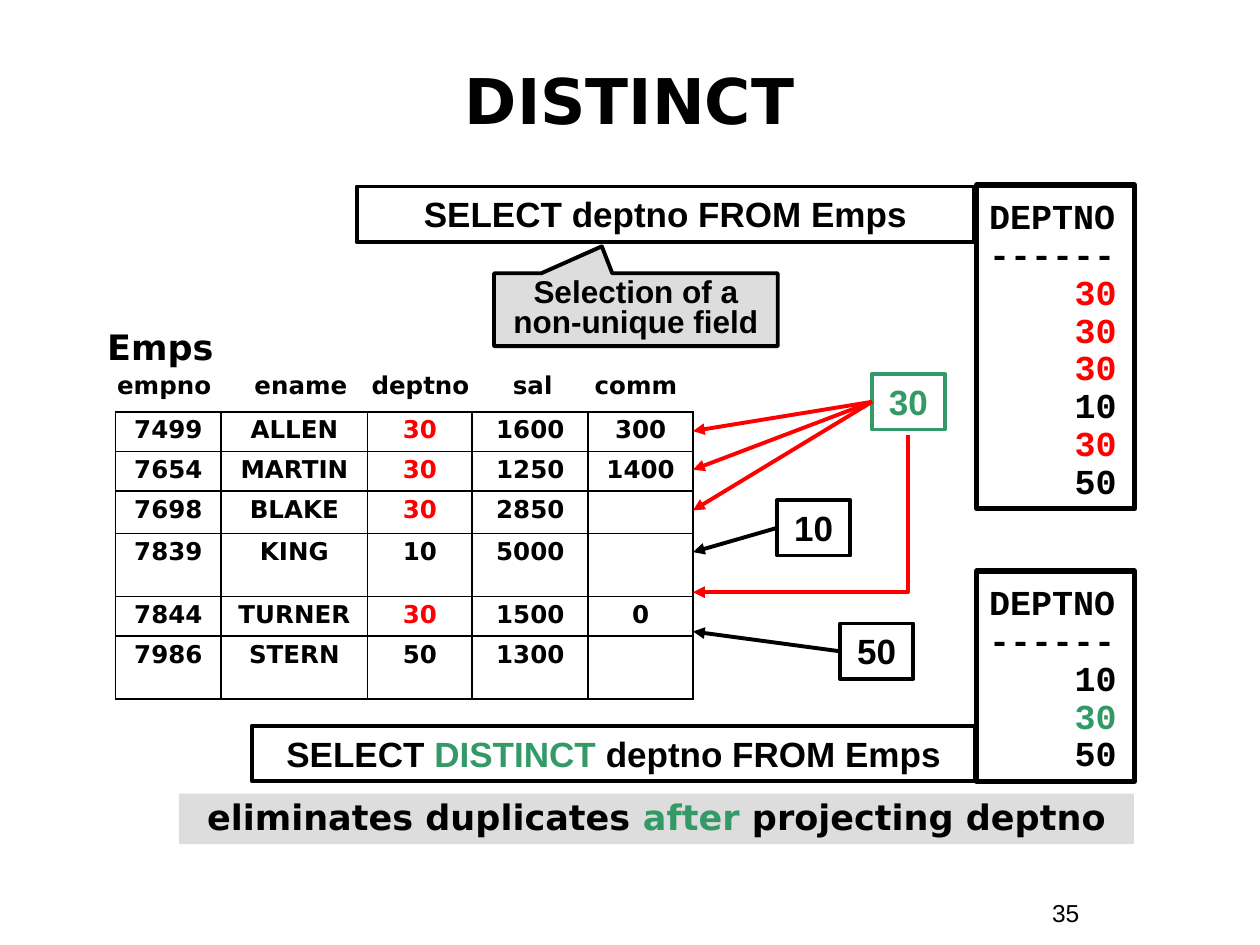
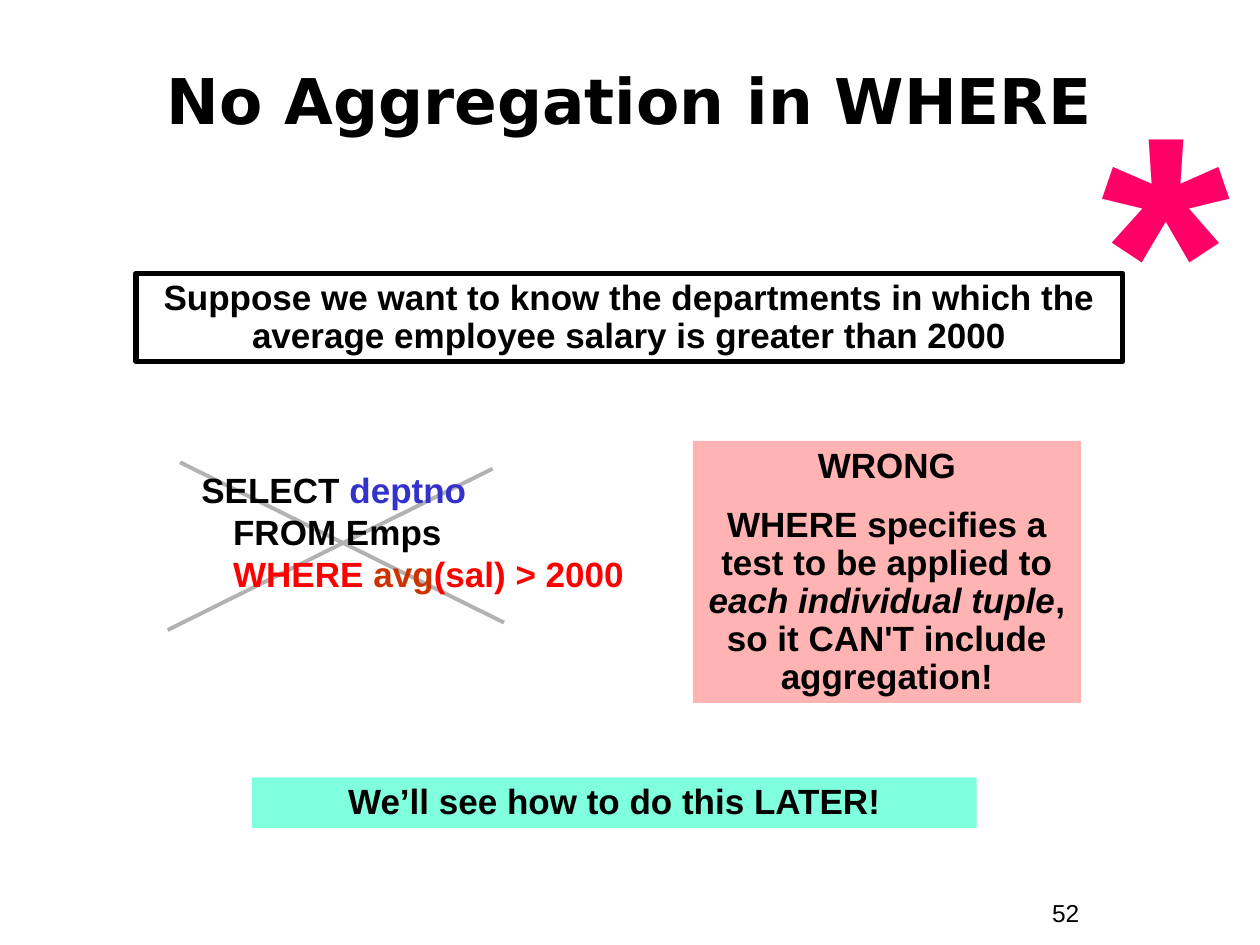
from dataclasses import dataclass
from typing import NamedTuple, Optional

from lxml import etree
from pptx import Presentation
from pptx.dml.color import RGBColor
from pptx.enum.shapes import MSO_CONNECTOR, MSO_SHAPE
from pptx.enum.text import MSO_ANCHOR, PP_ALIGN
from pptx.oxml.ns import qn
from pptx.util import Cm, Length, Pt

BLACK = RGBColor(0x00, 0x00, 0x00)
RED = RGBColor(0xFF, 0x00, 0x00)
GREEN = RGBColor(0x33, 0x99, 0x66)
BLUE = RGBColor(0x33, 0x33, 0xCC)
RUST = RGBColor(0xCC, 0x33, 0x00)
PINK = RGBColor(0xFF, 0x00, 0x66)
ROSE = RGBColor(0xFF, 0xB3, 0xB3)
MINT = RGBColor(0x7F, 0xFF, 0xDD)
PALE = RGBColor(0xDD, 0xDD, 0xDD)
GREY = RGBColor(0xB2, 0xB2, 0xB2)

SANS = "Arial"
WIDE = "DejaVu Sans"
MONO = "Courier New"

LEFT = PP_ALIGN.LEFT
MID = PP_ALIGN.CENTER
RIGHT = PP_ALIGN.RIGHT
TOP = MSO_ANCHOR.TOP
CENTRE = MSO_ANCHOR.MIDDLE
RECT = MSO_SHAPE.RECTANGLE
CALLOUT = MSO_SHAPE.RECTANGULAR_CALLOUT
LINE = MSO_CONNECTOR.STRAIGHT
ELBOW = MSO_CONNECTOR.ELBOW

SIDE = 0.25
EDGE = 13.97


class Run(NamedTuple):
    text: str
    color: Optional[RGBColor] = None
    italic: bool = False


class Para(NamedTuple):
    runs: tuple
    align: PP_ALIGN = MID
    before: float = 0
    hang: float = 0
    tabs: tuple = ()


@dataclass
class Font:
    size: float = 20
    name: str = SANS
    bold: bool = True
    color: RGBColor = BLACK
    pitch: Optional[float] = None


@dataclass
class Box:
    at: tuple
    paras: list
    font: Font
    fill: Optional[RGBColor] = None
    line: Optional[RGBColor] = None
    width: float = 2.25
    kind: Optional[MSO_SHAPE] = RECT
    anchor: MSO_ANCHOR = TOP
    right: float = SIDE
    top: float = 0.13


class Arrow(NamedTuple):
    tag: str
    y: float
    color: RGBColor


BOLD = Font()
TIGHT = Font(pitch=21.6)
CODE = Font(name=MONO, pitch=21.6)
TABLE = Font(14, WIDE, pitch=0.9)
HEAD = Font(36, WIDE)


def say(text: str, align: PP_ALIGN = MID) -> list:
    return [Para((Run(text),), align)]


def write(par, para: Para, font: Font) -> None:
    props = par._p.get_or_add_pPr()
    if para.hang:
        props.set("marL", str(Cm(para.hang)))
        props.set("indent", str(-Cm(para.hang)))
    if para.tabs:
        stops = etree.SubElement(props, qn("a:tabLst"))
        for stop in para.tabs:
            etree.SubElement(stops, qn("a:tab"), pos=str(Cm(stop)), algn="l")
    par.alignment = para.align
    if para.before:
        par.space_before = Pt(para.before)
    if font.pitch:
        par.line_spacing = font.pitch if font.pitch < 2 else Pt(font.pitch)
    par.font.name = font.name
    par.font.size = Pt(font.size)
    par.font.bold = font.bold
    par.font.color.rgb = font.color
    for part in para.runs:
        for index, text in enumerate(part.text.split("\n")):
            if index:
                par.add_line_break()
            if not text:
                continue
            run = par.add_run()
            run.text = text
            if part.color is not None:
                run.font.color.rgb = part.color
            if part.italic:
                run.font.italic = True


def fill_text(frame, box: Box) -> None:
    frame.word_wrap = True
    frame.vertical_anchor = box.anchor
    frame.margin_left, frame.margin_right = Cm(SIDE), Cm(box.right)
    frame.margin_top, frame.margin_bottom = Cm(box.top), Cm(0.13)
    for index, para in enumerate(box.paras):
        par = frame.add_paragraph() if index else frame.paragraphs[0]
        write(par, para, box.font)


def draw(slide, box: Box):
    place = [Cm(n) for n in box.at]
    if box.kind is None:
        shape = slide.shapes.add_textbox(*place)
    else:
        shape = slide.shapes.add_shape(box.kind, *place)
        shape.shadow.inherit = False
        if box.fill is None:
            shape.fill.background()
        else:
            shape.fill.solid()
            shape.fill.fore_color.rgb = box.fill
        if box.line is None:
            shape.line.fill.background()
        else:
            shape.line.color.rgb = box.line
            shape.line.width = Pt(box.width)
    fill_text(shape.text_frame, box)
    return shape


def link(slide, ends: tuple, color: RGBColor, kind=LINE, arrow: bool = False):
    wire = slide.shapes.add_connector(kind, *[Cm(n) for n in ends])
    wire.line.color.rgb = color
    wire.line.width = Pt(2.25)
    if arrow:
        etree.SubElement(wire.line._get_or_add_ln(), qn("a:tailEnd"), type="triangle")
    etree.SubElement(wire._element.spPr, qn("a:effectLst"))
    return wire


def start(deck, title: str, number: str):
    slide = deck.slides.add_slide(deck.slide_layouts[5])
    head = slide.shapes.title
    head.left, head.top, head.width, head.height = Cm(0.84), Cm(0.84), Cm(23.7), Cm(2.34)
    fill_text(head.text_frame, Box((), say(title), HEAD, anchor=CENTRE))
    draw(slide, Box((20.96, 17.98, 2.34, 0.86), say(number, LEFT),
                    Font(14, bold=False), kind=None))
    return slide


def border(cell, width: Length) -> None:
    props = cell._tc.get_or_add_tcPr()
    for index, side in enumerate(("lnL", "lnR", "lnT", "lnB")):
        edge = etree.Element(qn(f"a:{side}"), w=str(width))
        paint = etree.SubElement(edge, qn("a:solidFill"))
        etree.SubElement(paint, qn("a:srgbClr"), val=str(BLACK))
        props.insert(index, edge)


def staff(slide) -> None:
    rows = [
        ("7499", "ALLEN", "30", "1600", "300"),
        ("7654", "MARTIN", "30", "1250", "1400"),
        ("7698", "BLAKE", "30", "2850", ""),
        ("7839", "KING", "10", "5000", ""),
        ("7844", "TURNER", "30", "1500", "0"),
        ("7986", "STERN", "50", "1300", ""),
    ]
    widths = (2.13, 2.95, 2.11, 2.34, 2.11)
    heights = (0.8, 0.8, 0.8, 1.27, 0.8, 1.27)
    grid = slide.shapes.add_table(len(rows), len(widths), Cm(2.33), Cm(8.3),
                                  Cm(sum(widths)), Cm(sum(heights))).table
    grid.first_row = grid.horz_banding = False
    for column, width in zip(grid.columns, widths):
        column.width = Cm(width)
    for line, height, row in zip(grid.rows, heights, rows):
        line.height = Cm(height)
        for cell, text in zip(line.cells, row):
            cell.fill.background()
            border(cell, Pt(1.08))
            cell.margin_top = cell.margin_bottom = Cm(0.13)
            par = cell.text_frame.paragraphs[0]
            color = RED if text == "30" else None
            write(par, Para((Run(text, color),)), TABLE)
            if not text:
                par._p.get_or_add_endParaRPr().set("sz", "1400")


def result(slide, top: float, height: float, values: list) -> None:
    paras = say("DEPTNO", LEFT) + say("------", LEFT)
    paras += [Para((Run(text, color),), RIGHT) for text, color in values]
    draw(slide, Box((19.69, top, 3.18, height), paras, CODE, line=BLACK,
                    width=3, right=0.36, top=0.28))


def distinct(deck) -> None:
    slide = start(deck, "DISTINCT", "35")
    names = "\t".join(("empno", "ename", "deptno", "sal", "comm"))
    header = Para((Run(names),), LEFT, tabs=(2.77, 5.13, 7.98, 9.63))
    draw(slide, Box((2.11, 7.32, 12.07, 0.86), [header], Font(14, WIDE), kind=None))
    staff(slide)
    draw(slide, Box((1.91, 6.43, 5.92, 1.12), say("Emps", LEFT),
                    Font(20, WIDE), kind=None))
    draw(slide, Box((7.19, 3.76, 12.45, 1.12), say("SELECT deptno FROM Emps"),
                    BOLD, line=BLACK))
    result(slide, 3.73, 6.53, [("30", RED), ("30", RED), ("30", RED),
                               ("10", BLACK), ("30", RED), ("50", BLACK)])
    query = Para((Run("SELECT "), Run("DISTINCT", GREEN), Run(" deptno FROM Emps")))
    draw(slide, Box((5.08, 14.63, 14.58, 1.12), [query], BOLD, line=BLACK))
    result(slide, 11.51, 4.24, [("10", BLACK), ("30", GREEN), ("50", BLACK)])

    tags = {}
    for text, left, top, color in (("10", 15.67, 10.08, BLACK),
                                   ("30", 17.58, 7.54, GREEN),
                                   ("50", 16.94, 12.57, BLACK)):
        tags[text] = draw(slide, Box((left, top, 1.47, 1.12), say(text),
                                     Font(color=color), line=color))
    for arrow in (Arrow("10", 11.13, BLACK), Arrow("50", 12.73, BLACK),
                  Arrow("30", 8.69, RED), Arrow("30", 9.47, RED),
                  Arrow("30", 10.29, RED)):
        wire = link(slide, (EDGE + 1, arrow.y, EDGE, arrow.y), arrow.color, arrow=True)
        wire.begin_connect(tags[arrow.tag], 1)
    bend = link(slide, (14.55, 8.18, 17.73, 12.52), RED, ELBOW, True)
    bend._element.spPr.find(qn("a:prstGeom")).set("prst", "bentConnector2")
    bend._element.spPr.find(qn("a:xfrm")).set("rot", "5400000")

    note = draw(slide, Box((9.96, 5.51, 5.72, 1.47),
                           say("Selection of a\nnon-unique field"),
                           Font(18, pitch=17.3), PALE, BLACK,
                           kind=CALLOUT, anchor=CENTRE))
    note.adjustments[0], note.adjustments[1] = -0.12, -0.87
    moral = Para((Run("eliminates duplicates "), Run("after", GREEN),
                  Run(" projecting deptno")))
    draw(slide, Box((3.61, 16, 19.25, 1.02), [moral], Font(20, WIDE, pitch=0.9), PALE))


def where(deck) -> None:
    slide = start(deck, "No Aggregation in WHERE", "52")
    for ends in ((3.38, 12.7, 9.93, 9.45), (3.63, 9.32, 10.16, 12.55)):
        link(slide, ends, GREY)
    query = Para((Run("SELECT "), Run("deptno", BLUE), Run("\nFROM Emps\n"),
                  Run("WHERE ", RED), Run("avg", RUST), Run("(sal) > 2000", RED)),
                 LEFT, hang=0.64)
    draw(slide, Box((3.81, 9.32, 13.77, 2.79), [query], Font(pitch=24), kind=None))
    reason = Para((Run("WHERE specifies a test to be applied to "),
                   Run("each individual tuple", italic=True),
                   Run(", so it CAN'T include aggregation!")), before=12.5)
    draw(slide, Box((13.97, 8.89, 7.82, 5.28), say("WRONG") + [reason], TIGHT, ROSE))
    task = ("Suppose we want to know the departments in which the "
            "average employee salary is greater than 2000")
    draw(slide, Box((2.74, 5.51, 19.89, 1.78), say(task), TIGHT, line=BLACK, width=3))
    draw(slide, Box((5.08, 15.67, 14.61, 1.02),
                    say("We’ll see how to do this LATER!"), TIGHT, MINT))
    draw(slide, Box((21.82, 1.42, 3.38, 7.47), say("*"),
                    Font(189, color=PINK, pitch=204), kind=None))


def main() -> None:
    deck = Presentation()
    deck.slide_width, deck.slide_height = Cm(25.4), Cm(19.05)
    distinct(deck)
    where(deck)
    deck.save("out.pptx")


if __name__ == "__main__":
    main()
